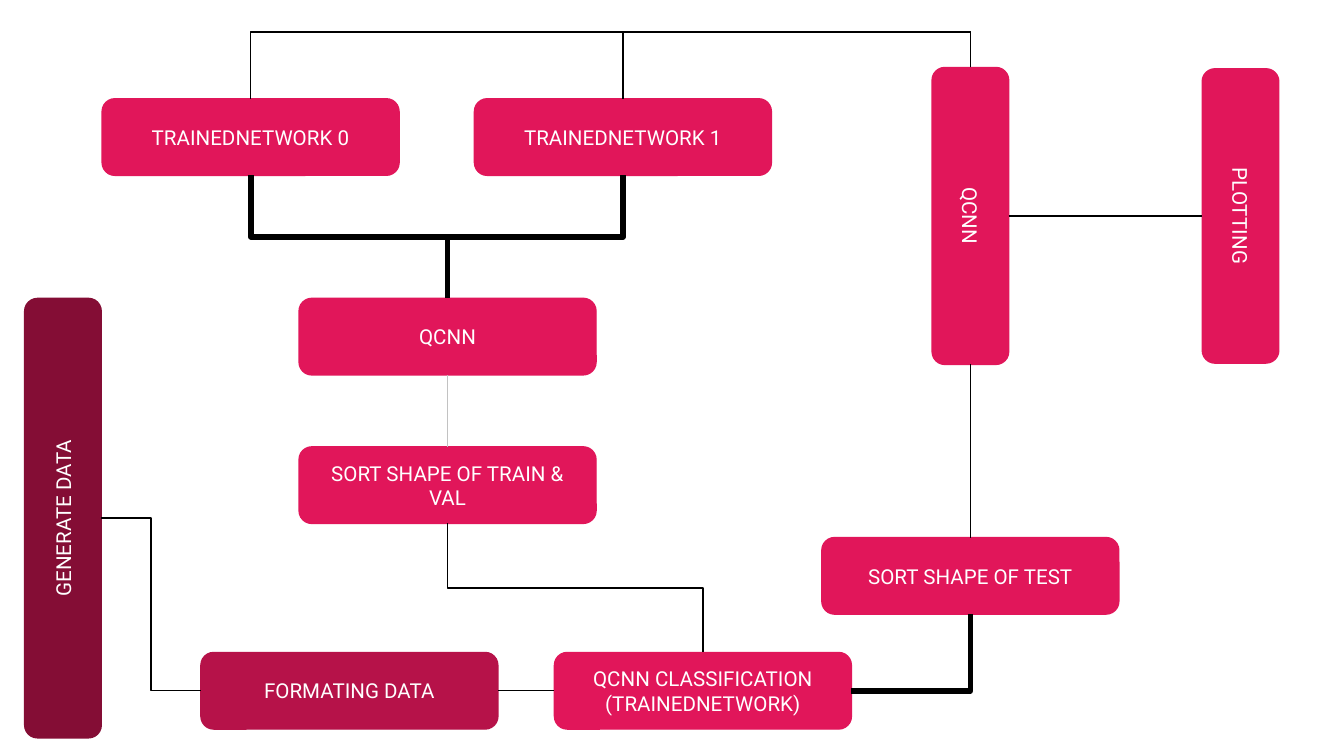
"""Build a flow chart of a quantum network's training and test stages."""

import dataclasses
import typing

import lxml.etree
import pptx
import pptx.dml.color
import pptx.enum.shapes
import pptx.enum.text
import pptx.oxml.ns
import pptx.util

CELL = pptx.util.Inches(0.1)
COLUMNS, ROWS = 100, 56.25
THICKNESS = 5.7
LENGTH = 22.1
INSET = pptx.util.Inches(0.1)
TOP, LEFT, BOTTOM, RIGHT = range(4)

WHITE = pptx.dml.color.RGBColor(0xFF, 0xFF, 0xFF)
BLACK = pptx.dml.color.RGBColor(0x00, 0x00, 0x00)
GREY = pptx.dml.color.RGBColor(0xC2, 0xC2, 0xC2)
MAROON = pptx.dml.color.RGBColor(0x84, 0x0D, 0x35)
CRIMSON = pptx.dml.color.RGBColor(0xB6, 0x12, 0x49)
PINK = pptx.dml.color.RGBColor(0xE1, 0x16, 0x5A)


@dataclasses.dataclass(frozen=True)
class Stage:
    """A rounded box, centred on a column and a row of the grid."""

    text: str
    column: float
    row: float
    length: float = LENGTH
    quarter_turns: int = 0
    color: pptx.dml.color.RGBColor = PINK

    def side(self, side: int) -> tuple[int, int]:
        """Return the middle of a visible side."""
        across, along = self.length / 2, THICKNESS / 2
        if self.quarter_turns % 2:
            across, along = along, across
        step_column, step_row = ((0, -1), (-1, 0), (0, 1), (1, 0))[side]
        return (
            round((self.column + step_column * across) * CELL),
            round((self.row + step_row * along) * CELL),
        )

    def site(self, side: int) -> int:
        """Return the connection site that shows at a side after turning."""
        return (side + self.quarter_turns) % 4


@dataclasses.dataclass(frozen=True)
class Link:
    """A line between the sides of two stages."""

    start: str
    start_side: int
    end: str
    end_side: int
    width: float = 0.75
    color: pptx.dml.color.RGBColor = BLACK
    bend: float = 0.5


STAGES = {
    "generate": Stage("GENERATE DATA", 4.69, 38.55, 32.7, 3, MAROON),
    "format": Stage("FORMATING DATA", 26, 51.4, color=CRIMSON),
    "classify": Stage("QCNN CLASSIFICATION\n(TRAINEDNETWORK)", 52.3, 51.4),
    "sort train": Stage("SORT SHAPE OF TRAIN & VAL", 33.3, 36.1),
    "train": Stage("QCNN", 33.3, 25.05),
    "network 0": Stage("TRAINEDNETWORK 0", 18.65, 10.2),
    "network 1": Stage("TRAINEDNETWORK 1", 46.35, 10.2),
    "sort test": Stage("SORT SHAPE OF TEST", 72.2, 42.85),
    "test": Stage("QCNN", 72.2, 16.07, quarter_turns=1),
    "plot": Stage("PLOTTING", 92.3, 16.07, 21.9, 1),
}

STRAIGHT_LINKS = (
    Link("format", RIGHT, "classify", LEFT),
    Link("sort train", TOP, "train", BOTTOM, color=GREY),
    Link("test", BOTTOM, "sort test", TOP),
    Link("test", RIGHT, "plot", LEFT),
)

ELBOW_LINKS = (
    Link("generate", RIGHT, "format", LEFT),
    Link("network 0", BOTTOM, "train", TOP, width=3),
    Link("network 1", BOTTOM, "train", TOP, width=3),
    Link("sort train", BOTTOM, "classify", TOP),
    Link("test", TOP, "network 0", TOP, bend=-1.13),
    Link("test", TOP, "network 1", TOP, bend=-1.13),
    Link("sort test", BOTTOM, "classify", RIGHT, width=3),
)


def write_text(shape: typing.Any, text: str, *, size: float = 11, font: str = "Roboto",
               color: pptx.dml.color.RGBColor = WHITE) -> None:
    """Fill a shape with centred text, one paragraph a line."""
    frame = shape.text_frame
    frame.word_wrap = True
    frame.vertical_anchor = pptx.enum.text.MSO_ANCHOR.MIDDLE
    frame.margin_left = frame.margin_right = INSET
    frame.margin_top = frame.margin_bottom = INSET
    frame.text = text
    for paragraph in frame.paragraphs:
        paragraph.alignment = pptx.enum.text.PP_ALIGN.CENTER
        for run in paragraph.runs:
            run.font.size = pptx.util.Pt(size)
            run.font.name = font
            run.font.color.rgb = color


def draw_stage(slide: typing.Any, stage: Stage) -> typing.Any:
    """Draw a stage and return its shape."""
    shape = slide.shapes.add_shape(
        pptx.enum.shapes.MSO_SHAPE.ROUNDED_RECTANGLE,
        round((stage.column - stage.length / 2) * CELL),
        round((stage.row - THICKNESS / 2) * CELL),
        round(stage.length * CELL),
        round(THICKNESS * CELL),
    )
    shape.rotation = stage.quarter_turns * 90
    shape.shadow.inherit = False
    shape.fill.solid()
    shape.fill.fore_color.rgb = stage.color
    shape.line.color.rgb = stage.color
    shape.line.width = pptx.util.Pt(0.75)
    write_text(shape, stage.text)
    return shape


def style_line(connector: typing.Any, link: Link) -> None:
    """Give a connector its colour and width, without a shadow."""
    connector.line.color.rgb = link.color
    connector.line.width = pptx.util.Pt(link.width)
    lxml.etree.SubElement(connector.element.spPr, pptx.oxml.ns.qn("a:effectLst"))


def draw_straight(slide: typing.Any, link: Link, shapes: dict[str, typing.Any]) -> None:
    """Draw a straight line joined to both of its stages."""
    start, end = STAGES[link.start], STAGES[link.end]
    connector = slide.shapes.add_connector(
        pptx.enum.shapes.MSO_CONNECTOR.STRAIGHT, 0, 0, 0, 0)
    connector.begin_connect(shapes[link.start], start.site(link.start_side))
    connector.end_connect(shapes[link.end], end.site(link.end_side))
    connector.begin_x, connector.begin_y = start.side(link.start_side)
    connector.end_x, connector.end_y = end.side(link.end_side)
    style_line(connector, link)


def draw_elbow(slide: typing.Any, link: Link) -> None:
    """Draw a bent line, turned when it leaves its stage vertically."""
    start_x, start_y = STAGES[link.start].side(link.start_side)
    end_x, end_y = STAGES[link.end].side(link.end_side)
    width, height = abs(end_x - start_x), abs(end_y - start_y)
    turned = link.start_side in (TOP, BOTTOM)
    if turned:
        width, height = height, width
    left = (start_x + end_x - width) // 2
    top = (start_y + end_y - height) // 2
    connector = slide.shapes.add_connector(
        pptx.enum.shapes.MSO_CONNECTOR.ELBOW, left, top, left + width, top + height)
    properties = connector.element.spPr
    if turned:
        frame = properties.find(pptx.oxml.ns.qn("a:xfrm"))
        rightward = end_x > start_x
        frame.set("rot", str((270 if rightward else 90) * 60000))
        if rightward:
            frame.set("flipH", "1")
    geometry = properties.find(pptx.oxml.ns.qn("a:prstGeom"))
    if turned and link.end_side in (LEFT, RIGHT):
        geometry.set("prst", "bentConnector2")
    else:
        guides = geometry.find(pptx.oxml.ns.qn("a:avLst"))
        lxml.etree.SubElement(guides, pptx.oxml.ns.qn("a:gd"),
                              name="adj1", fmla=f"val {round(link.bend * 100000)}")
    style_line(connector, link)


def main() -> None:
    """Build and save the presentation."""
    presentation = pptx.Presentation()
    presentation.slide_width = COLUMNS * CELL
    presentation.slide_height = round(ROWS * CELL)
    slide = presentation.slides.add_slide(presentation.slide_layouts[6])
    shapes = {name: draw_stage(slide, stage) for name, stage in STAGES.items()}
    for link in STRAIGHT_LINKS:
        draw_straight(slide, link, shapes)
    for link in ELBOW_LINKS:
        draw_elbow(slide, link)
    presentation.save("out.pptx")


if __name__ == "__main__":
    main()
